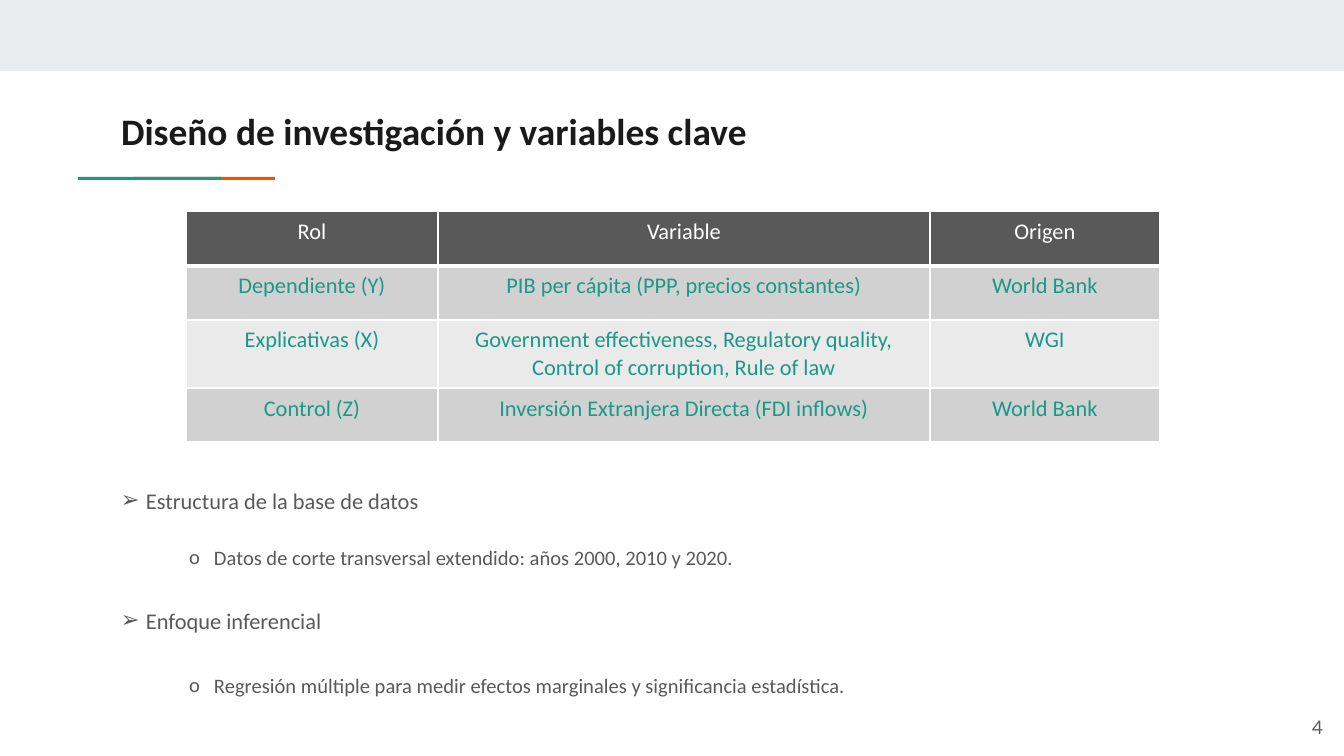
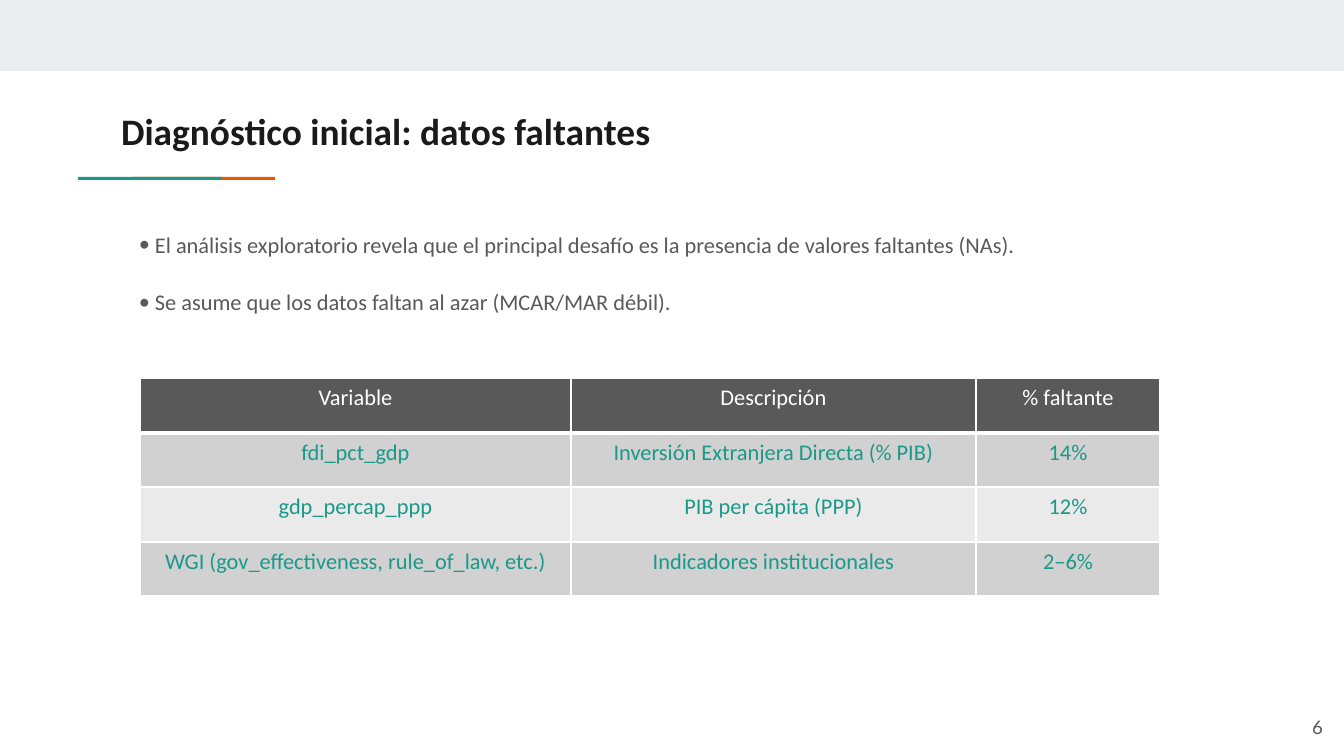
import pptx
import pptx.util
import pptx.dml.color
import pptx.enum.shapes
import pptx.enum.text
import pptx.oxml
import pptx.oxml.ns
from lxml import etree

RGBColor = pptx.dml.color.RGBColor
Pt = pptx.util.Pt
ALIGN = pptx.enum.text.PP_ALIGN
ANCHOR = pptx.enum.text.MSO_ANCHOR
qn = pptx.oxml.ns.qn

WHITE = RGBColor(0xFF, 0xFF, 0xFF)
INK = RGBColor(0x1A, 0x1A, 0x1A)
GRAY = RGBColor(0x59, 0x59, 0x59)
TEAL = RGBColor(0x1A, 0x99, 0x88)
ORANGE = RGBColor(0xEB, 0x56, 0x00)
MIST = RGBColor(0xE9, 0xED, 0xEE)
ROW_FILLS = (RGBColor(0xD1, 0xD1, 0xD1), RGBColor(0xEA, 0xEA, 0xEA))

TEXT_FONT = "Calibri"
NUMBER_FONT = "Lato"
TITLE_ONLY = 5
PX_PER_INCH = 134.4
INSET = 13

BANDS = [
    ((0, 0, 1344, 71), MIST),
    ((133, 177, 142, 3), ORANGE),
    ((78, 177, 143, 3), TEAL),
]
TITLE_BOX = (108, 91, 1130, 79)
NUMBER_BOX = (1255, 698, 81, 58)

LEVELS = {
    "tema": {"bullet": "➢", "left": 25, "hang": 25, "size": 12},
    "detalle": {"bullet": "o", "left": 93, "hang": 25, "size": 11},
    "punto": {"bullet": "•", "left": 16, "hang": 16, "size": 12},
}

SLIDES = [
    {
        "title": "Diseño de investigación y variables clave",
        "number": "4",
        "body_box": (108, 470, 1070, 249),
        "body": [
            ("tema", 0, "Estructura de la base de datos"),
            ("detalle", 15, "Datos de corte transversal extendido: años 2000, 2010 y 2020."),
            ("tema", 17.5, "Enfoque inferencial"),
            ("detalle", 19, "Regresión múltiple para medir efectos marginales y significancia estadística."),
        ],
        "table_at": (186, 211),
        "columns": (252, 492, 230),
        "rows": (55, 54, 68, 54),
        "table": [
            ("Rol", "Variable", "Origen"),
            ("Dependiente (Y)", "PIB per cápita (PPP, precios constantes)", "World Bank"),
            (
                "Explicativas (X)",
                "Government effectiveness, Regulatory quality, Control of corruption, Rule of law",
                "WGI",
            ),
            ("Control (Z)", "Inversión Extranjera Directa (FDI inflows)", "World Bank"),
        ],
    },
    {
        "title": "Diagnóstico inicial: datos faltantes",
        "number": "6",
        "body_box": (126, 214, 1070, 122),
        "body": [
            (
                "punto",
                0,
                "El análisis exploratorio revela que el principal desafío "
                "es la presencia de valores faltantes (NAs).",
            ),
            ("punto", 14, "Se asume que los datos faltan al azar (MCAR/MAR débil)."),
        ],
        "table_at": (140, 378),
        "columns": (431, 405, 184),
        "rows": (55, 54, 55, 54),
        "table": [
            ("Variable", "Descripción", "% faltante"),
            ("fdi_pct_gdp", "Inversión Extranjera Directa (% PIB)", "14%"),
            ("gdp_percap_ppp", "PIB per cápita (PPP)", "12%"),
            ("WGI (gov_effectiveness, rule_of_law, etc.)", "Indicadores institucionales", "2–6%"),
        ],
    },
]


def px(length):
    return pptx.util.Emu(round(length * 914400 / PX_PER_INCH))


def box(lengths):
    return [px(length) for length in lengths]


def style_runs(paragraph, size, color, font=TEXT_FONT, bold=False):
    for run in paragraph.runs:
        run.font.name = font
        run.font.size = Pt(size)
        run.font.bold = bold
        run.font.color.rgb = color


def set_frame(frame, anchor):
    frame.word_wrap = True
    frame.auto_size = pptx.enum.text.MSO_AUTO_SIZE.NONE
    frame.vertical_anchor = anchor
    frame.margin_left = frame.margin_right = px(INSET)
    frame.margin_top = frame.margin_bottom = px(INSET)


def add_bands(slide):
    for place, color in BANDS:
        band = slide.shapes.add_shape(pptx.enum.shapes.MSO_SHAPE.RECTANGLE, *box(place))
        band.shadow.inherit = False
        band.fill.solid()
        band.fill.fore_color.rgb = color
        band.line.fill.background()


def set_title(slide, text):
    title = slide.shapes.title
    title.left, title.top, title.width, title.height = box(TITLE_BOX)
    set_frame(title.text_frame, ANCHOR.MIDDLE)
    title.text_frame.text = text
    heading = title.text_frame.paragraphs[0]
    heading.alignment = ALIGN.LEFT
    style_runs(heading, 20, INK, bold=True)


def add_bullet(paragraph, level):
    properties = paragraph._p.get_or_add_pPr()
    properties.set("marL", str(px(level["left"])))
    properties.set("indent", str(-px(level["hang"])))
    color = etree.SubElement(properties, qn("a:buClr"))
    etree.SubElement(color, qn("a:srgbClr"), val=str(GRAY))
    etree.SubElement(properties, qn("a:buFont"), typeface=TEXT_FONT)
    etree.SubElement(properties, qn("a:buChar"), char=level["bullet"])


def add_body(slide, place, items):
    frame = slide.shapes.add_textbox(*box(place)).text_frame
    set_frame(frame, ANCHOR.TOP)
    frame.text = "\n".join(text for _, _, text in items)
    for paragraph, (kind, gap, _) in zip(frame.paragraphs, items):
        add_bullet(paragraph, LEVELS[kind])
        paragraph.line_spacing = 1.15
        if gap:
            paragraph.space_before = Pt(gap)
        style_runs(paragraph, LEVELS[kind]["size"], GRAY)


def set_borders(cell, top, bottom):
    properties = cell._tc.get_or_add_tcPr()
    widths = {"a:lnL": 1, "a:lnR": 1, "a:lnT": top, "a:lnB": bottom}
    for position, (side, width) in enumerate(widths.items()):
        line = etree.Element(qn(side), w=str(Pt(width)))
        fill = etree.SubElement(line, qn("a:solidFill"))
        etree.SubElement(fill, qn("a:srgbClr"), val=str(WHITE))
        properties.insert(position, line)


def add_variables_table(slide, at, columns, rows, content):
    place = (*at, sum(columns), sum(rows))
    table = slide.shapes.add_table(len(rows), len(columns), *box(place)).table
    for column, width in zip(table.columns, columns):
        column.width = px(width)
    for r, (height, texts) in enumerate(zip(rows, content)):
        table.rows[r].height = px(height)
        for c, text in enumerate(texts):
            cell = table.cell(r, c)
            cell.text = text
            cell.fill.solid()
            cell.fill.fore_color.rgb = ROW_FILLS[(r - 1) % 2] if r else GRAY
            set_borders(cell, top=3 if r == 1 else 1, bottom=3 if r == 0 else 1)
            paragraph = cell.text_frame.paragraphs[0]
            paragraph.alignment = ALIGN.CENTER
            style_runs(paragraph, 12, TEAL if r else WHITE)


def add_number(slide, number):
    frame = slide.shapes.add_textbox(*box(NUMBER_BOX)).text_frame
    set_frame(frame, ANCHOR.MIDDLE)
    frame.text = number
    frame.paragraphs[0].alignment = ALIGN.RIGHT
    style_runs(frame.paragraphs[0], 10, GRAY, font=NUMBER_FONT)


def main():
    deck = pptx.Presentation()
    deck.slide_width, deck.slide_height = box((1344, 756))
    for content in SLIDES:
        slide = deck.slides.add_slide(deck.slide_layouts[TITLE_ONLY])
        add_bands(slide)
        set_title(slide, content["title"])
        add_body(slide, content["body_box"], content["body"])
        add_variables_table(
            slide, content["table_at"], content["columns"], content["rows"], content["table"]
        )
        add_number(slide, content["number"])
    deck.save("out.pptx")


if __name__ == "__main__":
    main()
